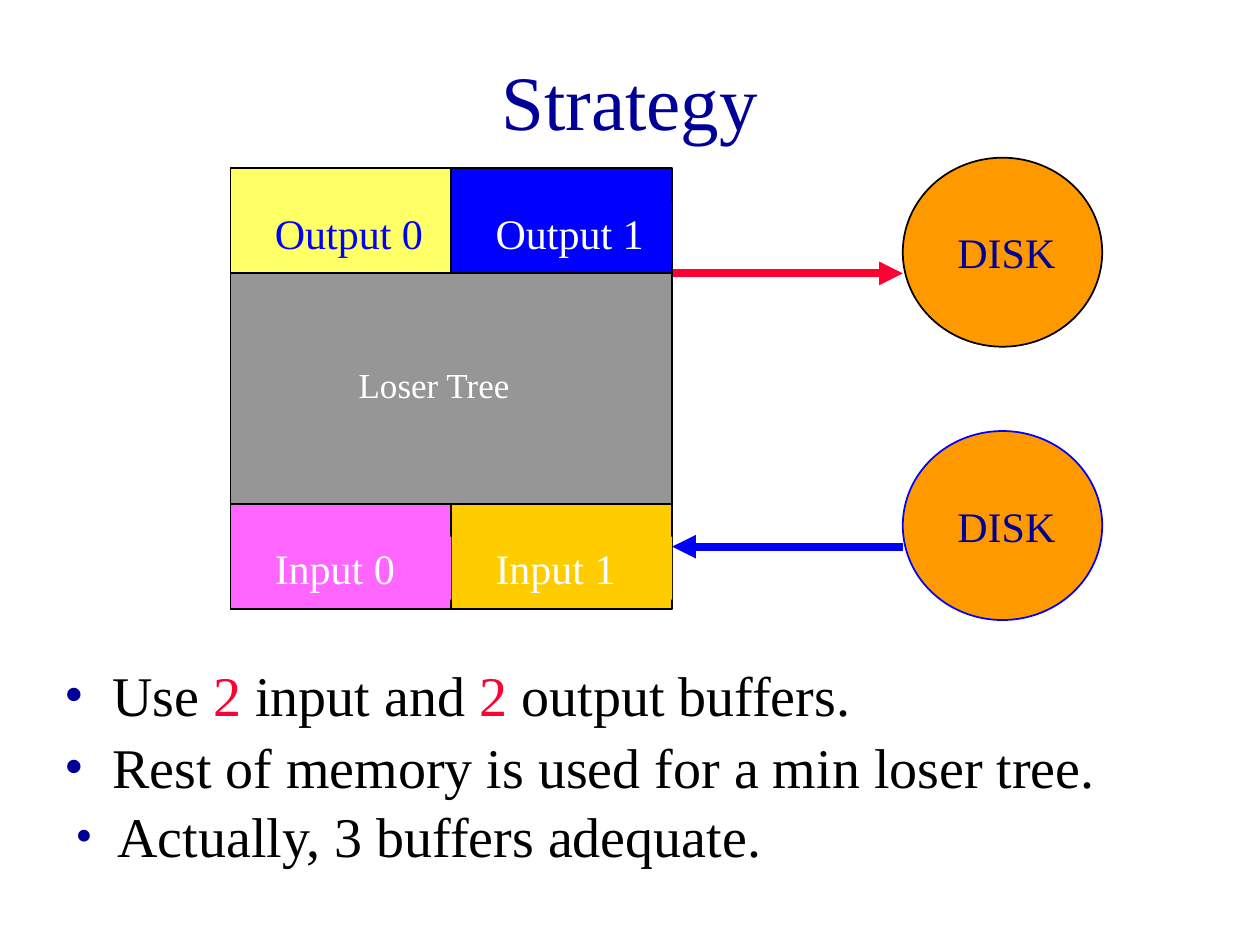
from lxml.etree import SubElement
from pptx import Presentation
from pptx.dml.color import RGBColor
from pptx.enum.shapes import MSO_CONNECTOR as Connector, MSO_SHAPE as Shape
from pptx.enum.text import MSO_ANCHOR as Anchor, PP_ALIGN as Align
from pptx.oxml.ns import qn
from pptx.util import Cm, Pt

NAVY, BLUE, RED = "000099", "0000FF", "FF0033"
BLACK, WHITE, ORANGE = "000000", "FFFFFF", "FF9900"


def paint(color_format, value):
    color_format.rgb = RGBColor.from_string(value)


class Slide:
    font = "Times New Roman"

    def __init__(self, deck):
        self.page = deck.slides.add_slide(deck.slide_layouts[6])

    def style(self, span, size, color):
        span.font.name = self.font
        span.font.size = Pt(size)
        paint(span.font.color, color)

    def shape(self, kind, left, top, width, height, fill, line=BLACK):
        shape = self.page.shapes.add_shape(kind, Cm(left), Cm(top), Cm(width), Cm(height))
        shape.shadow.inherit = False
        shape.fill.solid()
        paint(shape.fill.fore_color, fill)
        paint(shape.line.color, line)
        shape.line.width = Pt(1)

    def text(self, left, top, width, height, words="", size=24, color=WHITE, fill=None):
        box = self.page.shapes.add_textbox(Cm(left), Cm(top), Cm(width), Cm(height))
        frame = box.text_frame
        frame.word_wrap = True
        if fill:
            box.fill.solid()
            paint(box.fill.fore_color, fill)
        if words:
            frame.text = words
            self.style(frame.paragraphs[0].runs[0], size, color)
        return frame

    def buffer(self, left, top, words, fill, color=WHITE):
        self.shape(Shape.RECTANGLE, left, top, 4.45, 2.12, fill)
        self.text(left + 0.64, top + 0.66, 3.81, 1.27, words, color=color, fill=fill)

    def disk(self, left, top, line):
        self.shape(Shape.OVAL, left, top, 4.02, 3.81, ORANGE, line)
        self.text(left + 0.85, top + 1.27, 3.39, 1.27, "DISK", color=NAVY)

    def arrow(self, start, end, y, color):
        arrow = self.page.shapes.add_connector(
            Connector.STRAIGHT, Cm(start), Cm(y), Cm(end), Cm(y))
        arrow.line.width = Pt(4.5)
        paint(arrow.line.color, color)
        SubElement(arrow.line._get_or_add_ln(), qn("a:tailEnd"), type="triangle")
        SubElement(arrow._element.spPr, qn("a:effectLst"))

    def bullet(self, para, parts, indent, scale=100):
        props = para._p.get_or_add_pPr()
        props.set("marL", str(Cm(indent)))
        props.set("indent", str(-Cm(indent)))
        bullet_color = SubElement(props, qn("a:buClr"))
        SubElement(bullet_color, qn("a:srgbClr"), val=NAVY)
        SubElement(props, qn("a:buSzPct"), val=str(scale * 1000))
        SubElement(props, qn("a:buFont"), typeface=self.font)
        SubElement(props, qn("a:buChar"), char="•")
        para.line_spacing = 0.9
        for words, color in parts:
            span = para.add_run()
            span.text = words
            self.style(span, 32, color)


def main():
    deck = Presentation()
    deck.slide_width, deck.slide_height = Cm(25.4), Cm(19.05)
    slide = Slide(deck)

    title = slide.text(1.9, 0.42, 21.6, 3.18, "Strategy", 44, NAVY)
    title.vertical_anchor = Anchor.MIDDLE
    title.paragraphs[0].alignment = Align.CENTER

    memory_left, memory_middle, memory_right = 4.65, 9.1, 13.55
    output_top, tree_top, input_top = 3.39, 5.5, 10.16
    disk_left, upper_disk, lower_disk = 18.2, 3.18, 8.69
    arrow_drop = 2.33

    slide.disk(disk_left, lower_disk, BLUE)
    slide.arrow(disk_left, memory_right, lower_disk + arrow_drop, BLUE)
    slide.disk(disk_left, upper_disk, BLACK)
    slide.arrow(memory_right, disk_left, upper_disk + arrow_drop, RED)

    slide.buffer(memory_middle, input_top, "Input 1", "FFCC00")
    slide.buffer(memory_left, input_top, "Input 0", "FF66FF")
    slide.buffer(memory_left, output_top, "Output 0", "FFFF66", BLUE)
    slide.buffer(memory_middle, output_top, "Output 1", BLUE)

    slide.shape(Shape.RECTANGLE, memory_left, tree_top,
                memory_right - memory_left, input_top - tree_top, "969696")
    slide.text(6.98, 7.2, 4.66, 1.1, "Loser Tree", 20)

    body = slide.text(1.06, 13.34, 23.28, 3.18)
    slide.bullet(body.paragraphs[0], [
        ("Use ", BLACK), ("2", RED), (" input and ", BLACK),
        ("2", RED), (" output buffers.", BLACK)], 0.95)
    second = body.add_paragraph()
    slide.bullet(second, [("Rest of memory is used for a min loser tree.", BLACK)], 0.95)
    second.space_before = Pt(6.4)

    remark = slide.text(1.27, 16.18, 14.43, 1.47)
    slide.bullet(remark.paragraphs[0], [("Actually, 3 buffers adequate.", BLACK)], 0.85, 88)

    deck.save("out.pptx")


if __name__ == "__main__":
    main()
